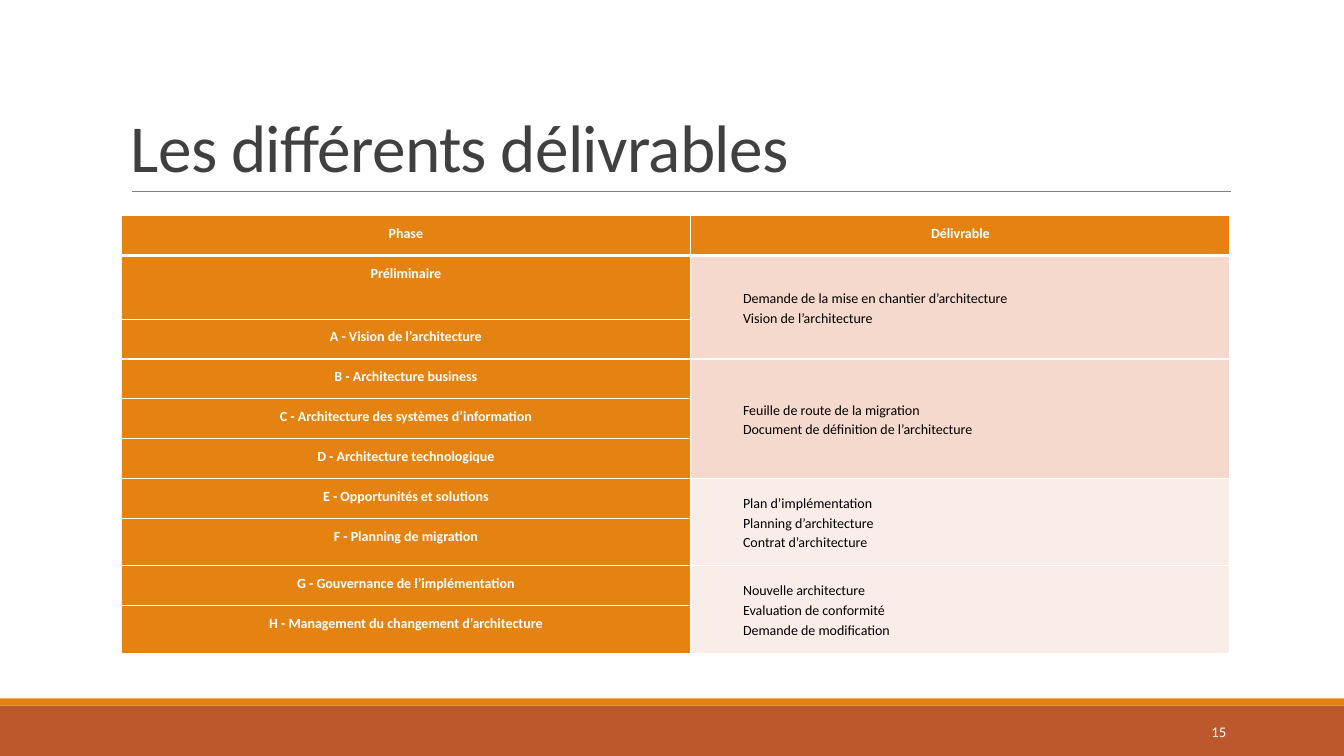
from lxml.etree import SubElement
from pptx import Presentation
from pptx.dml.color import RGBColor
from pptx.enum.shapes import MSO_CONNECTOR as Connector, MSO_SHAPE as Shape
from pptx.enum.text import MSO_ANCHOR as Anchor, PP_ALIGN as Align
from pptx.oxml.ns import qn
from pptx.util import Inches, Pt

TITLE = "Les différents délivrables"
PAGE_NUMBER = "15"
HEADERS = ("Phase", "Délivrable")
# Each group: phases, the deliverables they share, colour of the shared cell
GROUPS = [
    (["Préliminaire", "A - Vision de l’architecture"],
     ["Demande de la mise en chantier d’architecture", "Vision de l’architecture"], "rose"),
    (["B - Architecture business", "C - Architecture des systèmes d’information",
      "D - Architecture technologique"],
     ["Feuille de route de la migration", "Document de définition de l’architecture"], "rose"),
    (["E - Opportunités et solutions", "F - Planning de migration"],
     ["Plan d’implémentation", "Planning d’architecture", "Contrat d’architecture"], "pale"),
    (["G - Gouvernance de l’implémentation", "H - Management du changement d’architecture"],
     ["Nouvelle architecture", "Evaluation de conformité", "Demande de modification"], "pale"),
]
COLOURS = {"orange": "E48312", "rust": "BD582C", "rose": "F5D9CC", "pale": "FAEDE7",
           "title": "404040", "rule": "808080", "white": "FFFFFF", "black": "000000"}
FONT = "Calibri"
WIDTH, HEIGHT = 13.33, 7.5
LEFT, CONTENT_WIDTH = 1.2, 11
TABLE_TOP, TABLE_HEIGHT = 2.14, 4.34
COLUMNS = (5.65, 5.35)
TALL_ROWS = {1: 0.63, 7: 0.47, 9: 0.47}
ROW_COUNT = 1 + sum(len(phases) for phases, _, _ in GROUPS)
ROW_HEIGHT = (TABLE_HEIGHT - sum(TALL_ROWS.values())) / (ROW_COUNT - len(TALL_ROWS))
BAND_TOP, STRIPE = 7, 0.07
BULLET, BULLET_FONT, INDENT = "·", "Wingdings", 0.38


def colour(name):
    return RGBColor.from_string(COLOURS[name])


def add_span(para, text, size, colour_name, bold=False):
    span = para.add_run()
    span.text = text
    span.font.name = FONT
    span.font.size = Pt(size)
    span.font.bold = bold
    span.font.color.rgb = colour(colour_name)
    return span


def add_text(page, place, text, size, colour_name, anchor, align):
    box = page.shapes.add_textbox(*map(Inches, place))
    box.text_frame.word_wrap = True
    box.text_frame.vertical_anchor = anchor
    para = box.text_frame.paragraphs[0]
    para.alignment = align
    return para, add_span(para, text, size, colour_name)


def add_band(page, top, height, colour_name):
    band = page.shapes.add_shape(Shape.RECTANGLE, 0, Inches(top), Inches(WIDTH), Inches(height))
    band.shadow.inherit = False
    band.fill.solid()
    band.fill.fore_color.rgb = colour(colour_name)
    band.line.fill.background()


def add_rule(page):
    y = Inches(1.9)
    rule = page.shapes.add_connector(Connector.STRAIGHT, Inches(1.31), y, Inches(12.21), y)
    rule.line.color.rgb = colour("rule")
    rule.line.width = Pt(0.5)
    SubElement(rule._element.spPr, qn("a:effectLst"))


def add_bullet(para):
    properties = para._p.get_or_add_pPr()
    properties.set("marL", str(Inches(INDENT)))
    properties.set("indent", str(-Inches(INDENT)))
    SubElement(properties, qn("a:buFont"), typeface=BULLET_FONT)
    SubElement(properties, qn("a:buChar"), char=BULLET)


def style_cell(cell, row, fill_name):
    """Set margins, white borders (thick under the header) and fill."""
    cell.margin_left = cell.margin_right = Inches(0.14)
    cell.margin_top = cell.margin_bottom = Inches(0.07)
    properties = cell._tc.get_or_add_tcPr()
    for side in "LRTB":
        under_header = (row, side) in ((0, "B"), (1, "T"))
        border = SubElement(properties, qn(f"a:ln{side}"), w=str(Pt(3 if under_header else 1)))
        fill = SubElement(border, qn("a:solidFill"))
        SubElement(fill, qn("a:srgbClr"), val=COLOURS["white"])
    cell.fill.solid()
    cell.fill.fore_color.rgb = colour(fill_name)


def write_cell(cell, lines, bulleted=False):
    for index, line in enumerate(lines):
        frame = cell.text_frame
        para = frame.add_paragraph() if index else frame.paragraphs[0]
        para.line_spacing = 1.15
        if bulleted:
            add_bullet(para)
            add_span(para, line, 10, "black")
        else:
            para.alignment = Align.CENTER
            add_span(para, line, 10, "white", bold=True)


def add_deliverables(page):
    frame = page.shapes.add_table(ROW_COUNT, len(COLUMNS), Inches(LEFT), Inches(TABLE_TOP),
                                  Inches(CONTENT_WIDTH), Inches(TABLE_HEIGHT))
    table = frame.table
    table.first_row = table.horz_banding = False
    for column, width in zip(table.columns, COLUMNS):
        column.width = Inches(width)
    for index, row in enumerate(table.rows):
        row.height = Inches(TALL_ROWS.get(index, ROW_HEIGHT))
    for column, header in enumerate(HEADERS):
        style_cell(table.cell(0, column), 0, "orange")
        write_cell(table.cell(0, column), [header])
    first = 1
    for phases, deliverables, fill_name in GROUPS:
        for row, phase in enumerate(phases, first):
            style_cell(table.cell(row, 0), row, "orange")
            style_cell(table.cell(row, 1), row, fill_name)
            write_cell(table.cell(row, 0), [phase])
        shared = table.cell(first, 1)
        shared.merge(table.cell(first + len(phases) - 1, 1))
        shared.vertical_anchor = Anchor.MIDDLE
        write_cell(shared, deliverables, bulleted=True)
        first += len(phases)


def main():
    deck = Presentation()
    deck.slide_width, deck.slide_height = Inches(WIDTH), Inches(HEIGHT)
    page = deck.slides.add_slide(deck.slide_layouts[6])
    add_band(page, BAND_TOP, HEIGHT - BAND_TOP, "rust")
    add_band(page, BAND_TOP - STRIPE, STRIPE, "orange")
    add_rule(page)
    para, span = add_text(page, (LEFT, 0.31, CONTENT_WIDTH, 1.59), TITLE, 48, "title",
                          Anchor.BOTTOM, Align.LEFT)
    para.line_spacing = 0.85
    span.font._element.set("spc", "-50")
    add_deliverables(page)
    add_text(page, (10.83, 7.06, 1.43, 0.4), PAGE_NUMBER, 10.5, "white",
             Anchor.MIDDLE, Align.RIGHT)
    deck.save("out.pptx")


if __name__ == "__main__":
    main()
